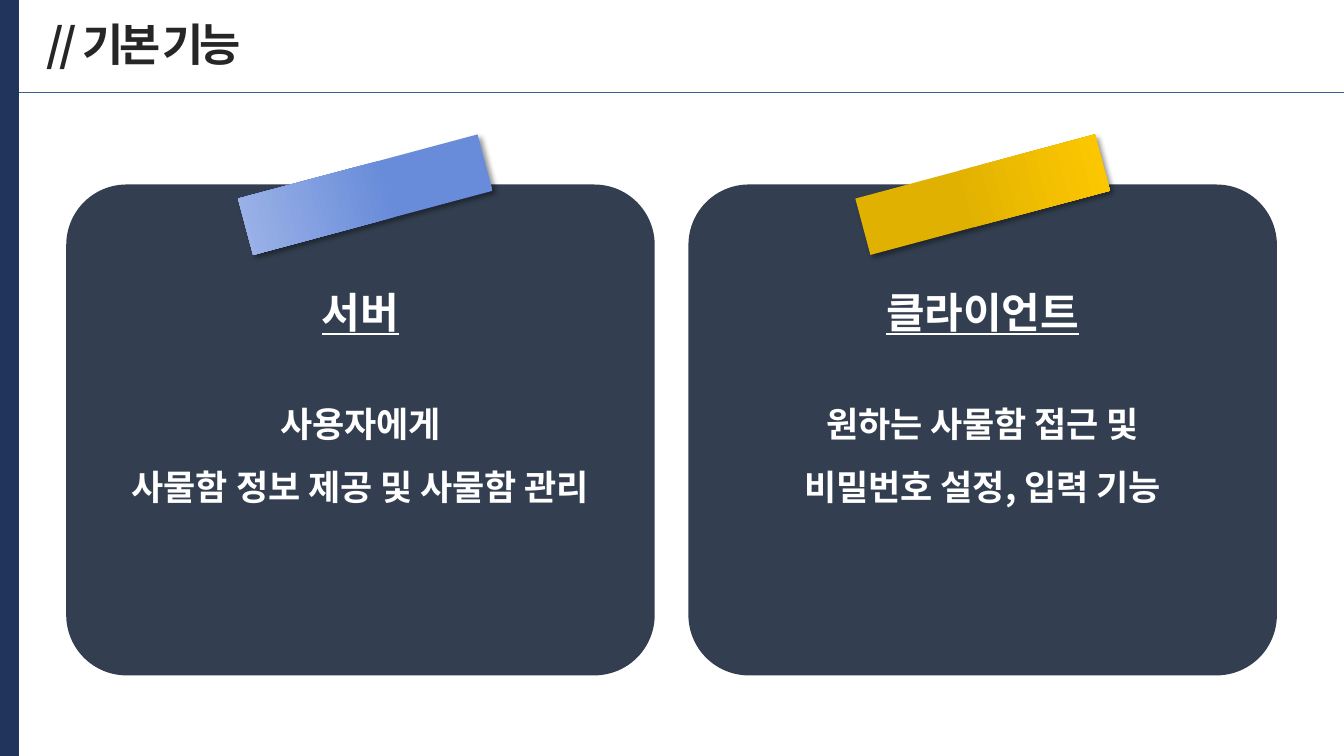
from pptx import Presentation
from pptx.dml.color import RGBColor
from pptx.enum.shapes import MSO_CONNECTOR as Link, MSO_SHAPE as Kind
from pptx.enum.text import MSO_ANCHOR as Anchor, MSO_AUTO_SIZE as Fit, PP_ALIGN as Align
from pptx.oxml import parse_xml
from pptx.oxml.ns import nsdecls
from pptx.util import Cm, Pt

FONT = "Noto Sans CJK KR"
WHITE = RGBColor(0xFF, 0xFF, 0xFF)
INK = RGBColor(0x26, 0x26, 0x26)
NAVY = RGBColor(0x21, 0x34, 0x5C)
RULE = RGBColor(0x32, 0x63, 0x93)
SLATE = RGBColor(0x33, 0x3F, 0x50)
BLUES = RGBColor(0x68, 0x8B, 0xDA), RGBColor(0x9D, 0xB4, 0xE7)
GOLDS = RGBColor(0xE1, 0xB1, 0x01), RGBColor(0xFE, 0xC9, 0x01)
WIDE, HIGH = 33.87, 19.05
EDGE = 0.48


def write(box, text, size, color=WHITE, align=Align.CENTER, gap=1.5, line=False, track=0):
    """Fill a shape with one bold paragraph per line of text."""
    frame = box.text_frame
    frame.word_wrap = True
    frame.auto_size = Fit.NONE
    frame.vertical_anchor = Anchor.TOP
    for i, words in enumerate(text.split("\n")):
        para = frame.add_paragraph() if i else frame.paragraphs[0]
        para.alignment = align
        para.line_spacing = gap
        run = para.add_run()
        run.text = words
        font = run.font
        font.name, font.size, font.bold = FONT, Pt(size), True
        font.color.rgb = color
        if line:
            font.underline = True
        props = run._r.get_or_add_rPr()
        if track:
            props.set("spc", str(track * 100))
        props.append(parse_xml(f'<a:ea {nsdecls("a")} typeface="{FONT}"/>'))


def block(slide, kind, x, y, w, h, color=None):
    """Add a flat shape without outline."""
    shape = slide.shapes.add_shape(kind, Cm(x), Cm(y), Cm(w), Cm(h))
    shape.shadow.inherit = False
    shape.line.fill.background()
    if color is not None:
        shape.fill.solid()
        shape.fill.fore_color.rgb = color
    return shape


def label(slide, text, x, y, w, h, **style):
    """Add a text box."""
    write(slide.shapes.add_textbox(Cm(x), Cm(y), Cm(w), Cm(h)), text, **style)


def tape(slide, mid, y, colors, turn):
    """Stick a tilted gradient strip centred on mid."""
    w, h = 6.25, 1.47
    strip = block(slide, Kind.RECTANGLE, mid - w / 2, y, w, h)
    strip.rotation = turn
    strip.fill.gradient()
    strip.fill.gradient_angle = 0
    for stop, color, place in zip(strip.fill.gradient_stops, colors, (0.4, 1)):
        stop.color.rgb = color
        stop.position = place
    props = strip._element.spPr
    props.remove(props.find("{*}effectLst"))
    props.append(parse_xml(
        f'<a:effectLst {nsdecls("a")}><a:outerShdw blurRad="{Pt(4)}" dist="{Pt(3)}" '
        'dir="2700000" algn="tl" rotWithShape="0"><a:srgbClr val="000000">'
        '<a:alpha val="40000"/></a:srgbClr></a:outerShdw></a:effectLst>'))


def card(slide, x, y, w, h, head, body, colors, turn, shift):
    """Draw a rounded card with its tape, heading and body."""
    panel = block(slide, Kind.ROUNDED_RECTANGLE, x, y, w, h, SLATE)
    panel.adjustments[0] = 0.123
    tape(slide, x + w / 2 + shift, y - 0.48, colors, turn)
    label(slide, head, x, y + 1.8, w, 2.18, size=30, line=True)
    label(slide, body, x + 0.8, y + 4.85, w - 1.6, 3.3, size=25)


def header(slide, x, y, w, h):
    """Place the title above a thin rule."""
    title = slide.shapes.title
    title.left, title.top, title.width, title.height = Cm(x + 0.43), Cm(y + 0.3), Cm(w / 2), Cm(1.63)
    write(title, "// 기본 기능", size=32, color=INK, align=Align.LEFT, gap=1.0, track=-3)
    rule = slide.shapes.add_connector(Link.STRAIGHT, Cm(x), Cm(y + h), Cm(x + w), Cm(y + h))
    rule.line.color.rgb = RULE
    rule.line.width = Pt(0.5)
    rule._element.spPr.append(parse_xml(f'<a:effectLst {nsdecls("a")}/>'))


def main():
    """Build and save the slide."""
    deck = Presentation()
    deck.slide_width, deck.slide_height = Cm(WIDE), Cm(HIGH)
    slide = deck.slides.add_slide(deck.slide_layouts[5])
    header(slide, EDGE, 0, WIDE - EDGE, 2.32)
    block(slide, Kind.RECTANGLE, 0, 0, EDGE, HIGH, NAVY)
    cards = (
        ("서버", "사용자에게\n사물함 정보 제공 및 사물함 관리", BLUES, 165, 0.12),
        ("클라이언트", "원하는 사물함 접근 및\n비밀번호 설정, 입력 기능", GOLDS, 345, 0),
    )
    for i, parts in enumerate(cards):
        card(slide, 1.67 + i * 15.68, 4.65, 14.83, 12.37, *parts)
    deck.save("out.pptx")


if __name__ == "__main__":
    main()
